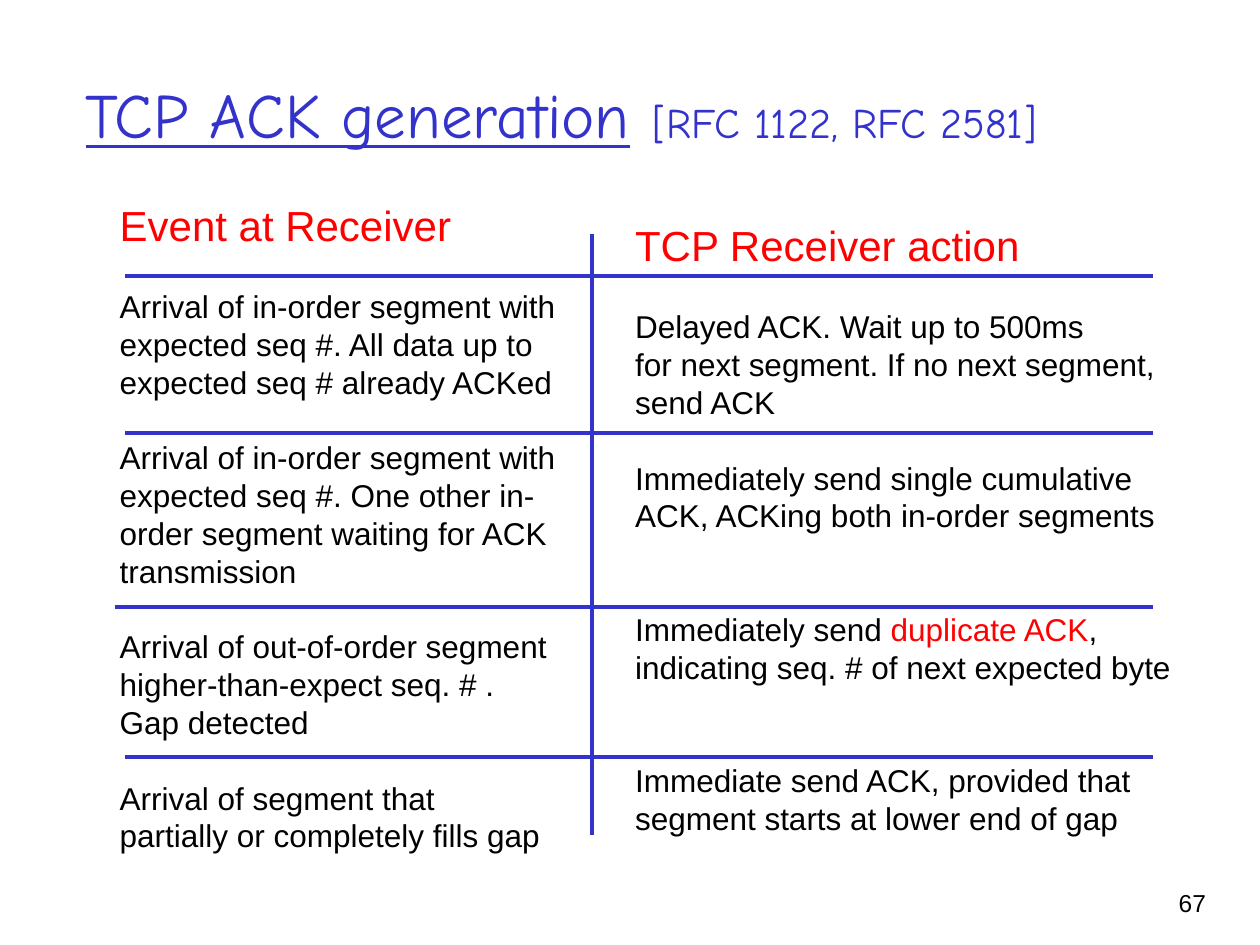
from lxml import etree
from pptx import Presentation
from pptx.dml.color import RGBColor
from pptx.enum.shapes import MSO_CONNECTOR
from pptx.enum.text import MSO_ANCHOR, MSO_AUTO_SIZE, PP_ALIGN
from pptx.oxml.ns import qn
from pptx.util import Inches, Pt

LINE = MSO_CONNECTOR.STRAIGHT
LEFT, RIGHT = PP_ALIGN.LEFT, PP_ALIGN.RIGHT
MIDDLE, TOP = MSO_ANCHOR.MIDDLE, MSO_ANCHOR.TOP
FIXED = MSO_AUTO_SIZE.NONE

COLORS = {"blue": "3333CC", "red": "FF0000", "black": "000000"}
HEAD, BODY = 24, 18
LEAD = 1.2  # line pitch as a multiple of the text size

# Each entry: blank lines above, then the lines of the entry
EVENTS = [
    (1, ["Arrival of in-order segment with",
         "expected seq #. All data up to",
         "expected seq # already ACKed"]),
    (1, ["Arrival of in-order segment with",
         "expected seq #. One other in-order segment waiting for ACK transmission"]),
    (1, ["Arrival of out-of-order segment",
         "higher-than-expect seq. # .",
         "Gap detected"]),
    (1, ["Arrival of segment that",
         "partially or completely fills gap"]),
]
ACTIONS = [
    (1, ["Delayed ACK. Wait up to 500ms",
         "for next segment. If no next segment,",
         "send ACK"]),
    (1, ["Immediately send single cumulative",
         "ACK, ACKing both in-order segments"]),
    (2, ["Immediately send *duplicate ACK*,",
         "indicating seq. # of next expected byte"]),
    (2, ["Immediate send ACK, provided that",
         "segment starts at lower end of gap"]),
]
# Rules as shares of the table box: start x, start y, end x, end y
RULES = [
    (0.01, 0.07, 1, 0.07),
    (0.01, 0.33, 1, 0.33),
    (0, 0.62, 1, 0.62),
    (0.01, 0.87, 1, 0.87),
    (0.46, 0, 0.46, 1),
]


def color(name):
    return RGBColor.from_string(COLORS[name])


def style(font, size, name, face="Arial"):
    font.name, font.size = face, Pt(size)
    font.color.rgb = color(name)


def place(shape, box, anchor=TOP):
    shape.left, shape.top, shape.width, shape.height = map(Inches, box)
    frame = shape.text_frame
    frame.word_wrap, frame.auto_size = True, FIXED
    frame.vertical_anchor = anchor
    return frame


def add_title(shape, box):
    para = place(shape, box, MIDDLE).paragraphs[0]
    para.alignment = LEFT
    style(para.font, 36, "blue", "Comic Neue")
    for text, size, under in [("TCP ACK generation", 36, True),
                              (" ", 40, False),
                              ("[RFC 1122, RFC 2581]", 24, False)]:
        run = para.add_run()
        run.text = text
        run.font.size, run.font.underline = Pt(size), under


def add_line(para, text, size, tint, gap=0):
    props = para._p.get_or_add_pPr()
    props.set("marL", "0")
    props.set("indent", "0")
    etree.SubElement(props, qn("a:buNone"))
    para.alignment = LEFT
    para.line_spacing = Pt(size * LEAD)
    para.space_before = Pt(gap * size * LEAD)
    style(para.font, size, tint)
    # Words between asterisks are red
    for i, part in enumerate(text.split("*")):
        run = para.add_run()
        run.text = part
        if i % 2:
            run.font.color.rgb = color("red")


def add_column(shape, box, head, items):
    frame = place(shape, box)
    add_line(frame.paragraphs[0], head, HEAD, "red")
    for gap, lines in items:
        for i, text in enumerate(lines):
            add_line(frame.add_paragraph(), text, BODY, "black", 0 if i else gap)


def add_rules(slide, box):
    x, y, w, h = box
    for x1, y1, x2, y2 in RULES:
        rule = slide.shapes.add_connector(
            LINE, Inches(x + x1 * w), Inches(y + y1 * h),
            Inches(x + x2 * w), Inches(y + y2 * h))
        rule.line.color.rgb = color("blue")
        rule.line.width = Pt(2.25)
        etree.SubElement(rule._element.spPr, qn("a:effectLst"))


def add_number(slide, box):
    shape = slide.shapes.add_textbox(0, 0, 0, 0)
    para = place(shape, box).paragraphs[0]
    para.text = "67"
    para.alignment = RIGHT
    style(para.font, 14, "black")


def main():
    deck = Presentation()
    deck.slide_width, deck.slide_height = Inches(10), Inches(7.5)
    slide = deck.slides.add_slide(deck.slide_layouts[3])
    title, left, right = slide.placeholders

    add_title(title, (0.58, 0.25, 8.5, 1.25))
    add_column(left, (0.85, 1.53, 3.88, 5.9), "Event at Receiver", EVENTS)
    add_column(right, (4.94, 1.69, 4.5, 5.6), "TCP Receiver action", ACTIONS)
    add_rules(slide, (0.91, 1.86, 8.24, 4.77))
    add_number(slide, (8.93, 7, 0.74, 0.5))
    deck.save("out.pptx")


if __name__ == "__main__":
    main()
